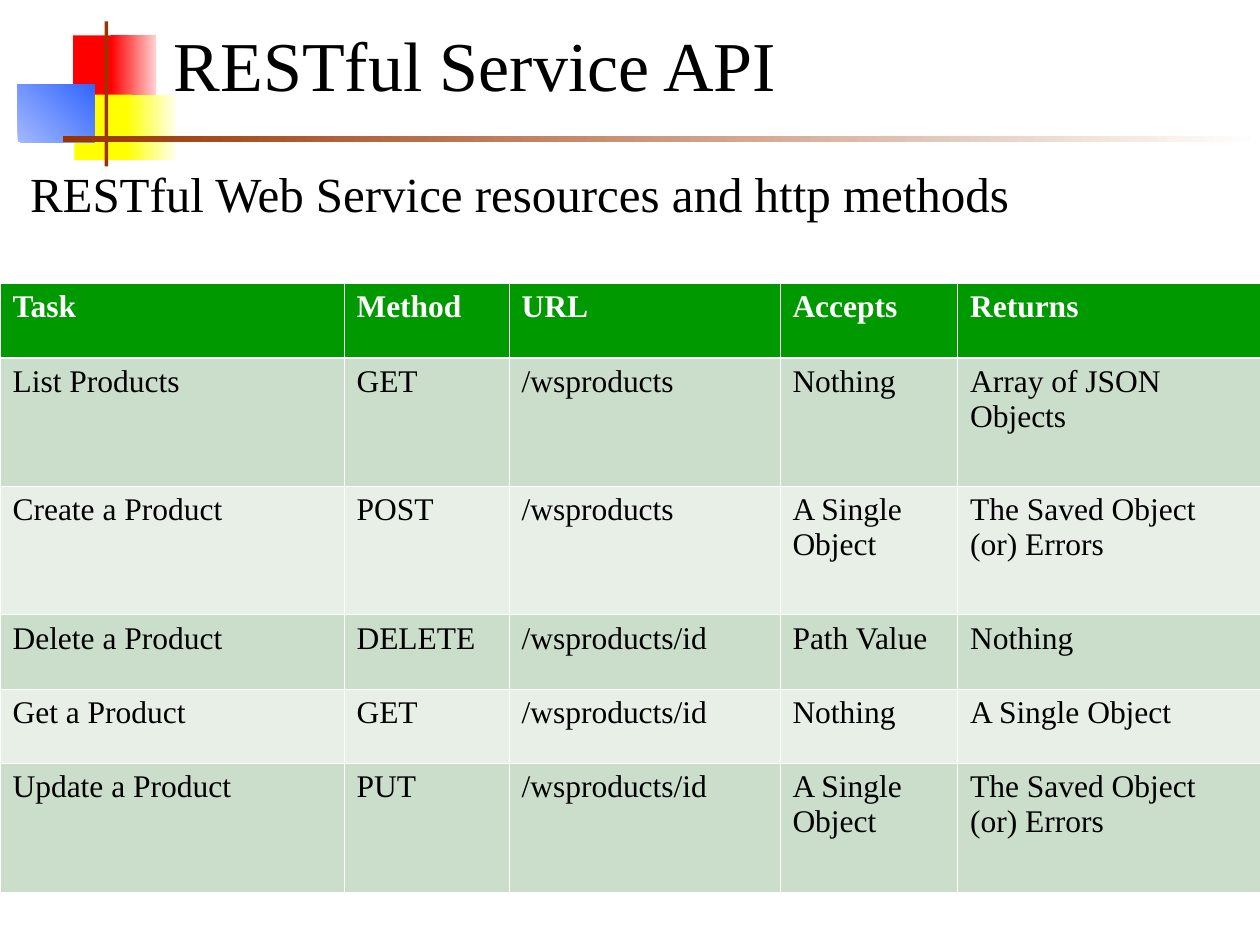
from lxml import etree
from pptx import Presentation
from pptx.dml.color import RGBColor
from pptx.enum.shapes import MSO_SHAPE
from pptx.enum.text import MSO_ANCHOR, PP_ALIGN
from pptx.oxml.ns import qn
from pptx.util import Inches, Pt

RECTANGLE = MSO_SHAPE.RECTANGLE
BOTTOM = MSO_ANCHOR.BOTTOM
LEFT = PP_ALIGN.LEFT

THEME = {
    "font": "Times New Roman",
    "text": "000000",
    "header_text": "FFFFFF",
    "header_fill": "009900",
    "bands": ("CBDECB", "E7EFE7"),
    "border": "FFFFFF",
    "red": ("FF0000", "FFD1D1"),
    "yellow": ("FFFF00", "FFFFF0"),
    "blue": ("A2B9FF", "3366FF"),
    "brown": ("993300", "FFFFFF"),
    "title_size": 40,
    "subtitle_size": 28,
    "table_size": 18,
    "thin_border": 0.45,
    "header_border": 1.47,
}


def write_text(frame, text, size, color=THEME["text"], bold=False):
    frame.word_wrap = True
    para = frame.paragraphs[0]
    para.alignment = LEFT
    span = para.add_run()
    span.text = text
    font_format = {"name": THEME["font"], "size": Pt(size), "bold": bold}
    for name, value in font_format.items():
        setattr(span.font, name, value)
    span.font.color.rgb = RGBColor.from_string(color)
    return para


def set_border(cell, widths):
    """Draw the cell edges; widths maps L, R, T and B, in that order, to points."""
    properties = cell._tc.get_or_add_tcPr()
    for index, (side, width) in enumerate(widths.items()):
        line = etree.Element(qn(f"a:ln{side}"), w=str(int(Pt(width))))
        fill = etree.SubElement(line, qn("a:solidFill"))
        etree.SubElement(fill, qn("a:srgbClr"), val=THEME["border"])
        properties.insert(index, line)


deck = Presentation()
deck.slide_width = Inches(10)
deck.slide_height = Inches(7.5)
page = deck.slides.add_slide(deck.slide_layouts.get_by_name("Title Only"))

# Corner ornament: one colour is a solid fill, two are a gradient
ornament = [
    (0.58, 0.28, 0.35, 0.52, THEME["red"][:1], 0),
    (0.88, 0.28, 0.36, 0.52, THEME["red"], 0),
    (0.59, 0.75, 0.46, 0.52, THEME["yellow"][:1], 0),
    (1, 0.75, 0.4, 0.52, THEME["yellow"], 0),
    (0.14, 0.67, 0.61, 0.46, THEME["blue"], 45),
    (0.83, 0.17, 0.03, 1.15, THEME["brown"][:1], 0),
    (0.5, 1.08, 9.5, 0.05, THEME["brown"], 0),
]
for *bounds, colors, angle in ornament:
    block = page.shapes.add_shape(RECTANGLE, *map(Inches, bounds))
    block.shadow.inherit = False
    block.line.fill.background()
    if len(colors) == 1:
        block.fill.solid()
        block.fill.fore_color.rgb = RGBColor.from_string(colors[0])
    else:
        block.fill.gradient()
        block.fill.gradient_angle = angle
        for stop, color in zip(block.fill.gradient_stops, colors):
            stop.color.rgb = RGBColor.from_string(color)

title = page.shapes.title
title_bounds = {"left": 1.28, "top": 0.42, "width": 8.7, "height": 0.47}
for name, value in title_bounds.items():
    setattr(title, name, Inches(value))
title.text_frame.vertical_anchor = BOTTOM
write_text(title.text_frame, "RESTful Service API", THEME["title_size"])

subtitle = page.shapes.add_textbox(
    Inches(0.14), Inches(1.25), Inches(9.86), Inches(0.75)
)
subtitle_para = write_text(
    subtitle.text_frame,
    "RESTful Web Service resources and http methods",
    THEME["subtitle_size"],
)
subtitle_para.space_before = Pt(7)

# API table
rows = [
    ("Task", "Method", "URL", "Accepts", "Returns"),
    ("List Products", "GET", "/wsproducts", "Nothing", "Array of JSON Objects"),
    ("Create a Product", "POST", "/wsproducts", "A Single Object",
     "The Saved Object (or) Errors"),
    ("Delete a Product", "DELETE", "/wsproducts/id", "Path Value", "Nothing"),
    ("Get a Product", "GET", "/wsproducts/id", "Nothing", "A Single Object"),
    ("Update a Product", "PUT", "/wsproducts/id", "A Single Object",
     "The Saved Object (or) Errors"),
]
column_widths = [2.73, 1.31, 2.15, 1.41, 2.4]
row_heights = [0.59, 1.02, 1.02, 0.59, 0.59, 1.02]

table = page.shapes.add_table(
    len(rows), len(column_widths),
    Inches(0), Inches(2.25), Inches(10), Inches(sum(row_heights)),
).table
for column, width in zip(table.columns, column_widths):
    column.width = Inches(width)
for row, height in zip(table.rows, row_heights):
    row.height = Inches(height)

thin, thick = THEME["thin_border"], THEME["header_border"]
for row_index, texts in enumerate(rows):
    is_header = row_index == 0
    fill = THEME["header_fill"] if is_header else THEME["bands"][(row_index - 1) % 2]
    color = THEME["header_text"] if is_header else THEME["text"]
    widths = {
        "L": thin,
        "R": thin,
        "T": thick if row_index == 1 else thin,
        "B": thick if is_header else thin,
    }
    for column_index, text in enumerate(texts):
        cell = table.cell(row_index, column_index)
        cell.fill.solid()
        cell.fill.fore_color.rgb = RGBColor.from_string(fill)
        write_text(cell.text_frame, text, THEME["table_size"], color, is_header)
        set_border(cell, widths)

deck.save("out.pptx")
